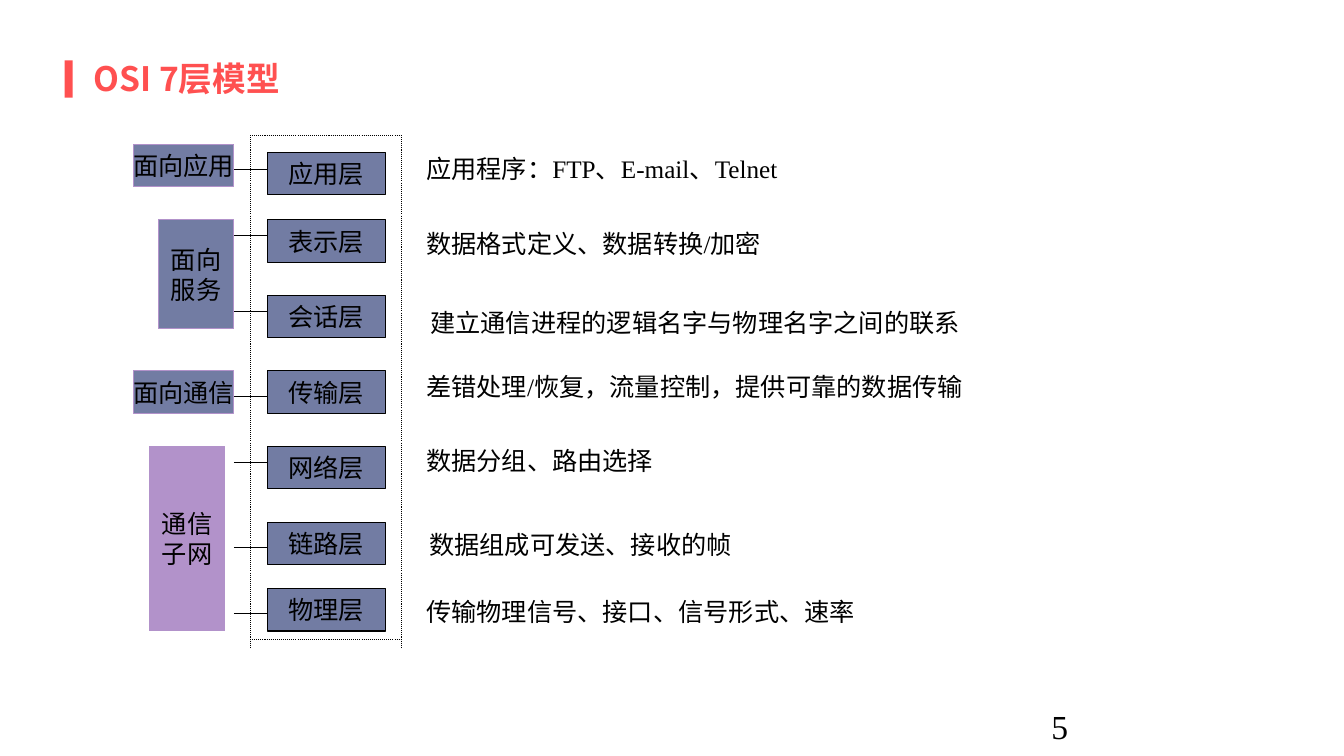
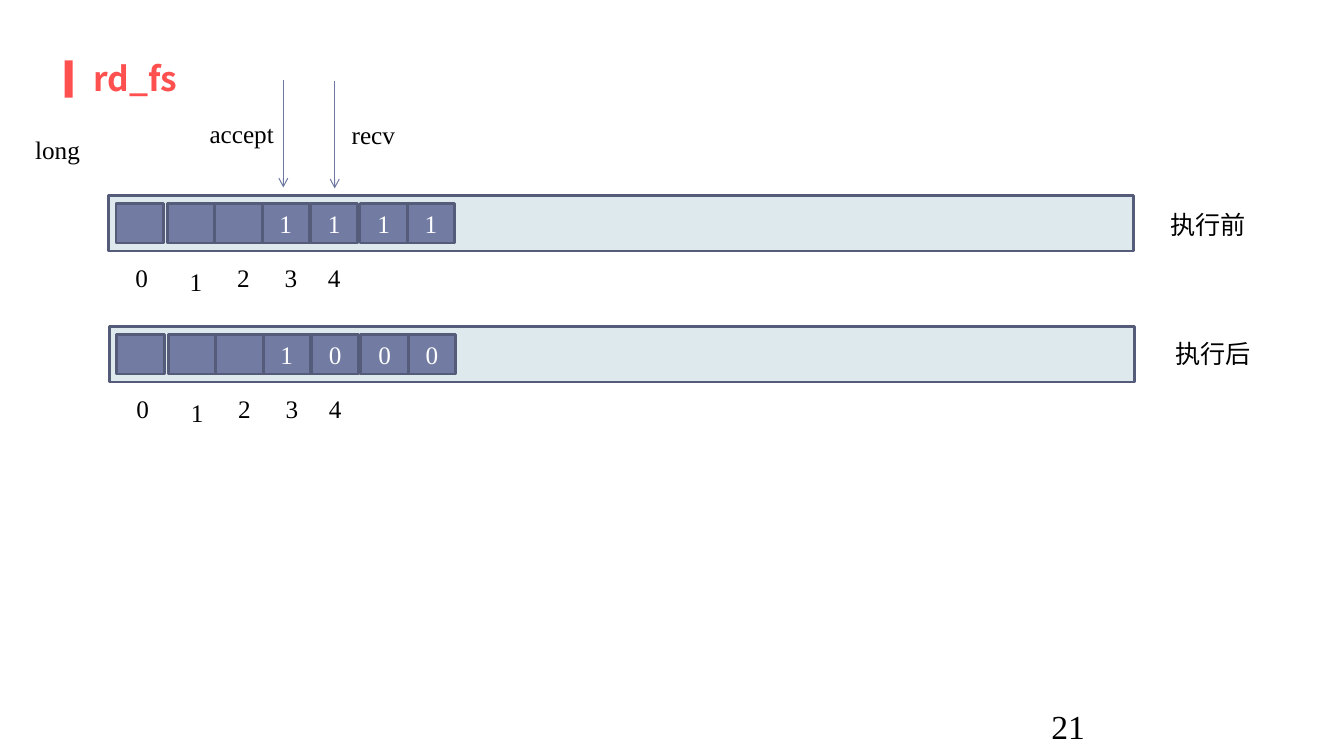
from pptx import Presentation
from pptx.dml.color import RGBColor
from pptx.enum.dml import MSO_LINE_DASH_STYLE as DASH
from pptx.enum.shapes import MSO_CONNECTOR as CONNECTOR, MSO_SHAPE as SHAPE
from pptx.enum.text import MSO_ANCHOR as ANCHOR, PP_ALIGN as ALIGN
from pptx.oxml.ns import qn
from pptx.oxml.xmlchemy import OxmlElement
from pptx.util import Pt

EMU_PER_PX = 9144  # 100 px to the inch
COLORS = {
    "accent": "FF5050", "black": "000000", "white": "FFFFFF",
    "slate": "727CA3", "slate_dark": "545C79", "arrow": "6E79A1",
    "purple": "B292CA", "pale": "DDE9EC",
}
# Latin and East Asian typefaces
BODY_FONTS = ("Times New Roman", "Arial")
TITLE_FONTS = ("Noto Sans CJK SC", "Noto Sans CJK SC")

# Layer name, box top, link height, description, its left, top, width, wrapped
LAYERS = [
    ("应用层", 151, 168, "应用程序：FTP、E-mail、Telnet", 413, 147, 370, True),
    ("表示层", 218, 234, "数据格式定义、数据转换/加密", 413, 222, 352, True),
    ("会话层", 293, 309, "建立通信进程的逻辑名字与物理名字之间的联系", 417, 300, 552, False),
    ("传输层", 368, 393, "差错处理/恢复，流量控制，提供可靠的数据传输", 413, 363, 552, True),
    ("网络层", 443, 459, "数据分组、路由选择", 413, 437, 245, False),
    ("链路层", 518, 543, "数据组成可发送、接收的帧", 416, 520, 320, False),
    ("物理层", 584, 609, "传输物理信号、接口、信号形式、速率", 413, 587, 445, False),
]
# Group label, left, top, width, height, fill
LAYER_GROUPS = [
    ("通信\n子网", 148, 443, 75, 183, "purple"),
    ("面向通信", 132, 368, 100, 42, "slate"),
    ("面向\n服务", 157, 218, 75, 108, "slate"),
    ("面向应用", 132, 143, 100, 42, "slate"),
]
# Offsets from the left end of the bit bar
CELL_OFFSETS = [7, 58, 105, 152, 200, 249, 296]
INDEX_OFFSETS = [(19, 61), (73, 65), (120, 61), (167, 61), (210, 61)]


def px(value):
    return value * EMU_PER_PX


def rgb(name):
    return RGBColor.from_string(COLORS[name])


def set_text(shape, text, color="black", size=18, fonts=BODY_FONTS, bold=False,
             align=ALIGN.LEFT, anchor=ANCHOR.TOP, wrap=False, inset=(10, 5)):
    latin_font, east_asian_font = fonts
    frame = shape.text_frame
    frame.text = text
    frame.word_wrap = wrap
    frame.vertical_anchor = anchor
    frame.margin_left = frame.margin_right = px(inset[0])
    frame.margin_top = frame.margin_bottom = px(inset[1])
    for paragraph in frame.paragraphs:
        paragraph.alignment = align
        for run in paragraph.runs:
            run.font.name = latin_font
            run.font.size = Pt(size)
            run.font.bold = bold
            run.font.color.rgb = rgb(color)
            east_asian = OxmlElement("a:ea")
            east_asian.set("typeface", east_asian_font)
            run.font._element.find(qn("a:latin")).addnext(east_asian)


def add_label(slide, text, left, top, width, height=40, **style):
    box = slide.shapes.add_textbox(px(left), px(top), px(width), px(height))
    set_text(box, text, **style)


def add_box(slide, left, top, width, height, fill, line=None, line_width=0.75,
            text="", text_color="black"):
    box = slide.shapes.add_shape(SHAPE.RECTANGLE, px(left), px(top), px(width), px(height))
    box.shadow.inherit = False
    box.fill.solid()
    box.fill.fore_color.rgb = rgb(fill)
    if line:
        box.line.color.rgb = rgb(line)
        box.line.width = Pt(line_width)
    else:
        box.line.fill.background()
    if text:
        set_text(box, text, text_color, align=ALIGN.CENTER,
                 anchor=ANCHOR.MIDDLE, inset=(0, 0))


def add_line(slide, x1, y1, x2, y2, color="black", dash=None, arrow=False):
    connector = slide.shapes.add_connector(CONNECTOR.STRAIGHT, px(x1), px(y1), px(x2), px(y2))
    connector.line.color.rgb = rgb(color)
    connector.line.width = Pt(0.75)
    if dash:
        connector.line.dash_style = dash
    properties = connector._element.spPr
    if arrow:
        tail = OxmlElement("a:tailEnd")
        tail.set("type", "arrow")
        properties.find(qn("a:ln")).append(tail)
    properties.append(OxmlElement("a:effectLst"))


def add_slide(presentation, title, number):
    """Blank slide with the shared title mark, title and page number."""
    slide = presentation.slides.add_slide(presentation.slide_layouts[6])
    add_box(slide, 64, 60, 8, 37, "accent")
    add_label(slide, title, 83, 54, 1168, 46, color="accent", size=24, fonts=TITLE_FONTS,
              bold=True, anchor=ANCHOR.MIDDLE, wrap=True)
    add_label(slide, str(number), 1033, 695, 300, size=24, wrap=True)
    return slide


def draw_layer_model(slide):
    # Layers, links and descriptions
    for name, top, link_y, description, left, text_top, width, wrap in LAYERS:
        add_box(slide, 265, top, 117, 42, "slate", "black", text=name)
        add_line(slide, 232, link_y, 265, link_y)
        add_label(slide, description, left, text_top, width, wrap=wrap)
    # Groups of layers
    for name, left, top, width, height, fill in LAYER_GROUPS:
        add_box(slide, left, top, width, height, fill, "purple", text=name)
    # Dotted frame, whose sides run past its foot
    for x in (248, 398):
        add_line(slide, x, 134, x, 643, dash=DASH.ROUND_DOT)
    for y in (134, 634):
        add_line(slide, 248, y, 398, y, dash=DASH.ROUND_DOT)


def draw_bit_bar(slide, left, top, bits, caption, caption_left, caption_top):
    add_box(slide, left, top, 1016, 55, "pale", "slate_dark", 2)
    for offset, bit in zip(CELL_OFFSETS, bits):
        add_box(slide, left + offset, top + 8, 47, 39, "slate", "slate_dark", 2,
                bit, "white")
    for index, (dx, dy) in enumerate(INDEX_OFFSETS):
        add_label(slide, str(index), left + dx, top + dy, 27,
                  align=ALIGN.CENTER, inset=(0, 5))
    add_label(slide, caption, caption_left, caption_top, 100)


def draw_descriptor_set(slide):
    add_label(slide, "long", 25, 128, 80)
    draw_bit_bar(slide, 108, 194, ["", "", "", "1", "1", "1", "1"], "执行前", 1151, 203)
    draw_bit_bar(slide, 109, 324, ["", "", "", "1", "0", "0", "0"], "执行后", 1156, 331)
    # Calls pointing at their bits
    for name, left, top, width, x, y in (("accept", 198, 112, 90, 281, 79),
                                         ("recv", 339, 113, 70, 332, 80)):
        add_line(slide, x, y, x, y + 107, "arrow", arrow=True)
        add_label(slide, name, left, top, width)


def main():
    presentation = Presentation()
    presentation.slide_width = px(1333)
    presentation.slide_height = px(750)
    draw_layer_model(add_slide(presentation, "OSI 7层模型", 5))
    draw_descriptor_set(add_slide(presentation, "rd_fs", 21))
    presentation.save("out.pptx")


if __name__ == "__main__":
    main()
